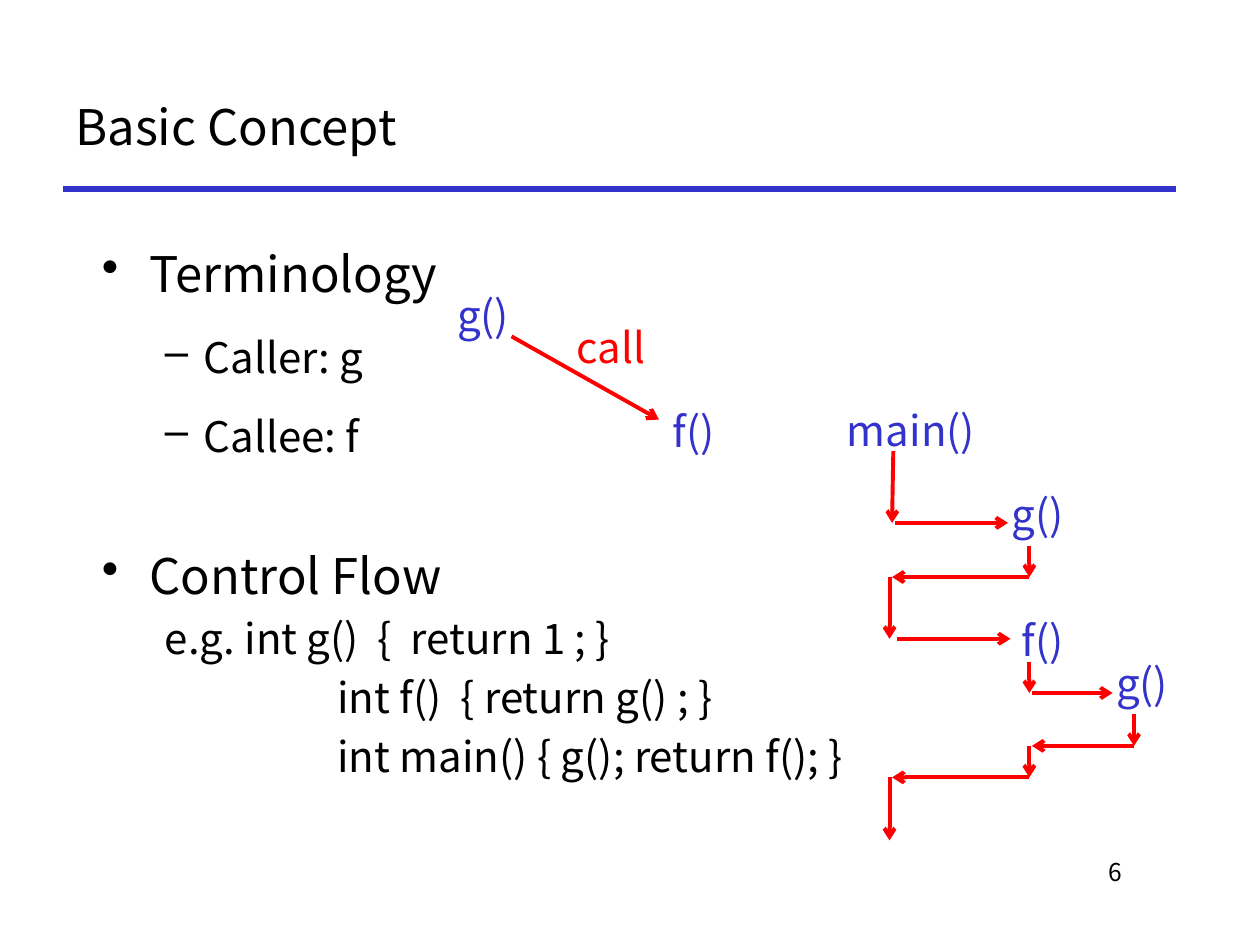
from dataclasses import dataclass

from lxml import etree
from pptx import Presentation
from pptx.dml.color import RGBColor
from pptx.enum.shapes import MSO_CONNECTOR
from pptx.enum.text import MSO_ANCHOR, PP_ALIGN
from pptx.oxml.ns import qn
from pptx.slide import Slide
from pptx.text.text import TextFrame
from pptx.util import Inches, Pt

STRAIGHT = MSO_CONNECTOR.STRAIGHT
TOP, MIDDLE = MSO_ANCHOR.TOP, MSO_ANCHOR.MIDDLE
LEFT, CENTER, RIGHT = PP_ALIGN.LEFT, PP_ALIGN.CENTER, PP_ALIGN.RIGHT

BLACK = RGBColor(0x00, 0x00, 0x00)
BLUE = RGBColor(0x33, 0x33, 0xCC)
RED = RGBColor(0xFF, 0x00, 0x00)
FONT = "Noto Sans CJK KR"


@dataclass(frozen=True)
class Box:
    left: float
    top: float
    width: float
    height: float


@dataclass(frozen=True)
class Label:
    text: str
    box: Box
    color: RGBColor = BLUE


@dataclass(frozen=True)
class Line:
    x1: float
    y1: float
    x2: float
    y2: float


@dataclass(frozen=True)
class BodyItem:
    text: str
    size: float
    margin: float
    indent: float
    bullet: str = ""
    spacing: float = 1.0
    before: float = 4.8


def topic(text: str, before: float) -> BodyItem:
    return BodyItem(text, 28, 0.38, -0.38, "•", 1.4, before)


def term(text: str) -> BodyItem:
    return BodyItem(text, 24, 0.81, -0.31, "–", 1.4)


TITLE_BOX = Box(0.5, 0.5, 8.83, 1)
BODY_BOX = Box(0.71, 1.7, 8.92, 5.08)
NUMBER_BOX = Box(7.58, 6.75, 1.42, 0.5)
TITLE_RULE = Line(0.5, 1.5, 9.33, 1.5)

BODY = [
    topic("Terminology", 0),
    term("Caller: g"),
    term("Callee: f"),
    topic("Control Flow", 35),
    BodyItem("e.g. int g()  {  return 1 ; }", 24, 0.81, -0.31),
    BodyItem("int f()  { return g() ; }", 24, 1.87, 0),
    BodyItem("int main() { g(); return f(); }", 24, 1.87, 0),
]

LABELS = [
    Label("g()", Box(3.5, 2.25, 0.67, 0.51)),
    Label("f()", Box(5.17, 3.17, 0.67, 0.51)),
    Label("call", Box(4.31, 2.5, 1.08, 0.51), RED),
    Label("main()", Box(6.52, 3.16, 1.42, 0.51)),
    Label("g()", Box(7.88, 3.83, 0.71, 0.51)),
    Label("f()", Box(7.92, 4.83, 0.71, 0.51)),
    Label("g()", Box(8.71, 5.17, 0.71, 0.51)),
]

MAIN_X, CALLED_X, NESTED_X = 7.06, 8.17, 9
ARROWS = [
    Line(4.06, 2.67, 5.23, 3.33),
    Line(7.09, 3.58, 7.08, 4.15),
    Line(7.1, 4.15, 8, 4.15),
    Line(CALLED_X, 4.33, CALLED_X, 4.58),
    Line(CALLED_X, 4.58, 7.08, 4.58),
    Line(MAIN_X, 4.58, MAIN_X, 5.07),
    Line(7.12, 5.07, 8.02, 5.07),
    Line(CALLED_X, 5.25, CALLED_X, 5.5),
    Line(8.19, 5.5, 8.83, 5.5),
    Line(NESTED_X, 5.67, NESTED_X, 5.92),
    Line(NESTED_X, 5.92, 8.19, 5.92),
    Line(CALLED_X, 5.92, CALLED_X, 6.17),
    Line(CALLED_X, 6.17, 7.08, 6.17),
    Line(MAIN_X, 6.17, MAIN_X, 6.67),
]


def add_frame(slide: Slide, box: Box, anchor: MSO_ANCHOR = TOP) -> TextFrame:
    shape = slide.shapes.add_textbox(
        Inches(box.left), Inches(box.top), Inches(box.width), Inches(box.height)
    )
    frame = shape.text_frame
    frame.word_wrap = True
    frame.vertical_anchor = anchor
    return frame


def add_run(paragraph, text: str, size: float, color: RGBColor = BLACK) -> None:
    run = paragraph.add_run()
    run.text = text
    run.font.name = FONT
    run.font.size = Pt(size)
    run.font.color.rgb = color


def add_text(slide: Slide, box: Box, text: str, size: float, color: RGBColor,
             alignment: PP_ALIGN, anchor: MSO_ANCHOR = TOP) -> None:
    paragraph = add_frame(slide, box, anchor).paragraphs[0]
    paragraph.alignment = alignment
    add_run(paragraph, text, size, color)


def add_body(slide: Slide, box: Box, items: list[BodyItem]) -> None:
    frame = add_frame(slide, box)
    for index, item in enumerate(items):
        paragraph = frame.add_paragraph() if index else frame.paragraphs[0]
        properties = paragraph._p.get_or_add_pPr()
        properties.set("marL", str(Inches(item.margin)))
        properties.set("indent", str(Inches(item.indent)))
        if item.bullet:
            bullet = etree.SubElement(properties, qn("a:buChar"))
            bullet.set("char", item.bullet)
        paragraph.line_spacing = item.spacing
        paragraph.space_before = Pt(item.before)
        add_run(paragraph, item.text, item.size)


def add_line(slide: Slide, line: Line, color: RGBColor, width: float,
             arrow: bool = False) -> None:
    connector = slide.shapes.add_connector(
        STRAIGHT, Inches(line.x1), Inches(line.y1), Inches(line.x2), Inches(line.y2)
    )
    connector.line.color.rgb = color
    connector.line.width = Pt(width)
    if arrow:
        head = etree.SubElement(connector.line._get_or_add_ln(), qn("a:tailEnd"))
        head.set("type", "arrow")
    etree.SubElement(connector._element.spPr, qn("a:effectLst"))


def main() -> None:
    presentation = Presentation()
    presentation.slide_width = Inches(10)
    presentation.slide_height = Inches(7.5)
    slide = presentation.slides.add_slide(presentation.slide_layouts[6])

    add_line(slide, TITLE_RULE, BLUE, 3)
    add_text(slide, NUMBER_BOX, "6", 14, BLACK, RIGHT)
    add_text(slide, TITLE_BOX, "Basic Concept", 28, BLACK, LEFT, MIDDLE)
    add_body(slide, BODY_BOX, BODY)
    for label in LABELS:
        add_text(slide, label.box, label.text, 24, label.color, CENTER)
    for arrow in ARROWS:
        add_line(slide, arrow, RED, 2.25, arrow=True)

    presentation.save("out.pptx")


if __name__ == "__main__":
    main()
